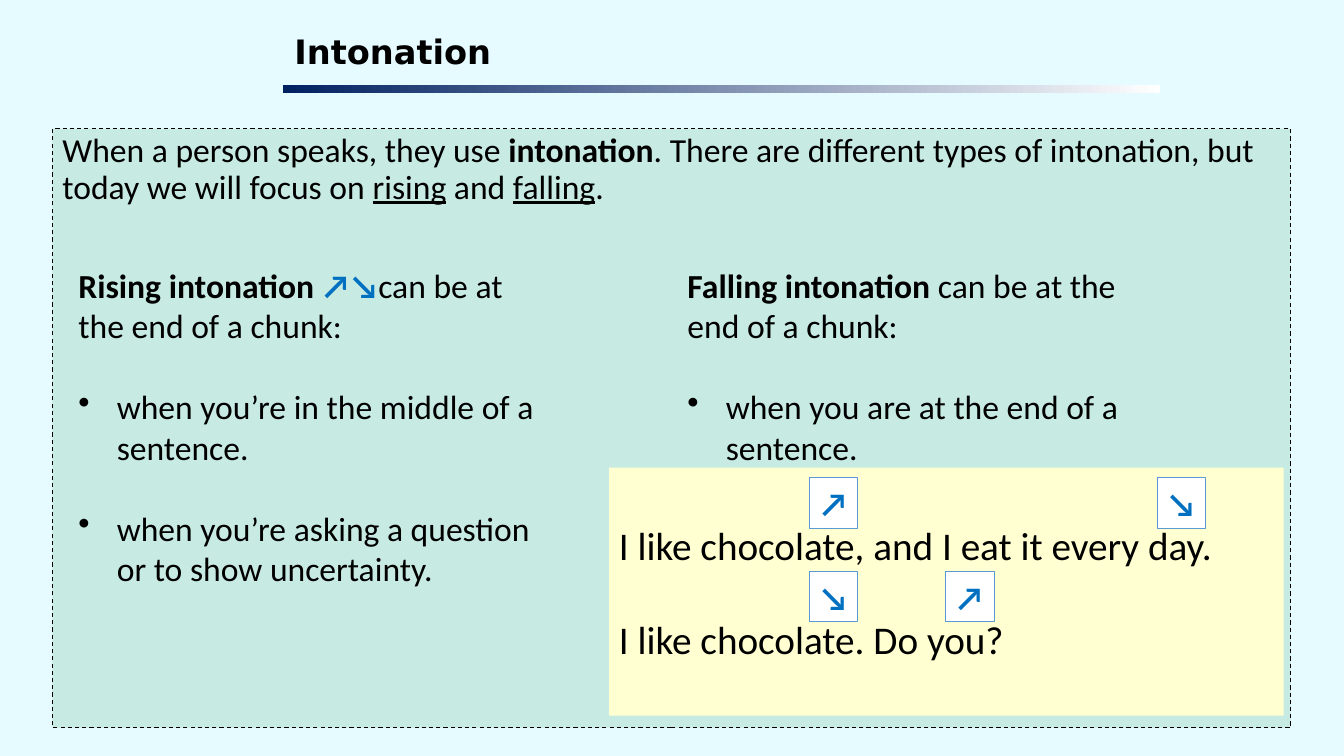
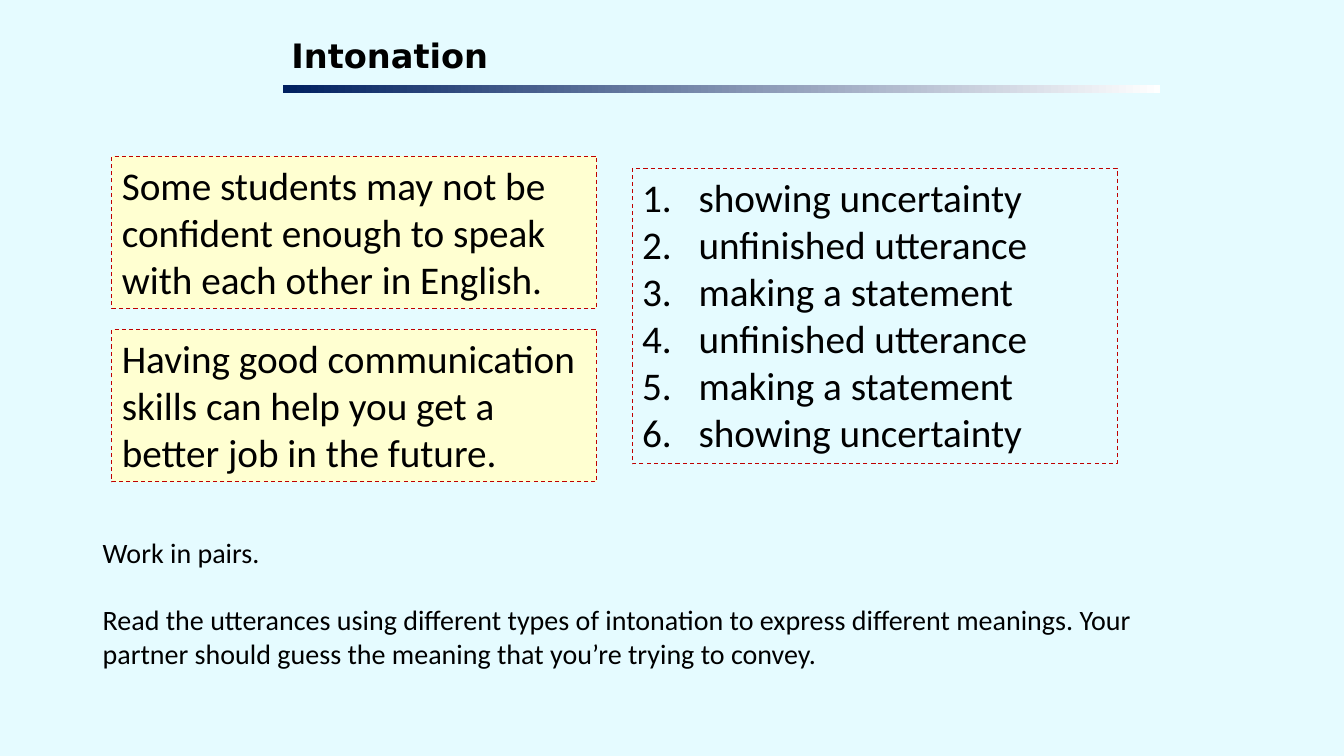
import pptx
import pptx.util
import pptx.dml.color
import pptx.enum.dml
import pptx.enum.shapes
import pptx.enum.text
import pptx.oxml
import pptx.oxml.ns

Inches = pptx.util.Inches
Pt = pptx.util.Pt
Anchor = pptx.enum.text.MSO_ANCHOR

COLORS = {
    "background": "E5FBFF", "mint": "C7EBE2", "cream": "FFFFD1",
    "white": "FFFFFF", "navy": "002060", "black": "000000",
    "red": "C00000", "arrow": "0070C0", "arrow_border": "5B9BD5",
}
BODY = {"name": "Calibri", "size": Pt(24), "color": "black"}
TITLE = {"name": "DejaVu Sans", "size": Pt(24), "bold": True, "color": "black"}
LARGE = BODY | {"size": Pt(28)}
SMALL = BODY | {"size": Pt(20)}
BOLD = {"bold": True}
UNDERLINE = {"underline": True}
ARROW = {"bold": True, "color": "arrow"}
LINE_GAP = {24: 29, 28: 34, 20: 24}  # one line of text, by font size, in points

DOT = '<a:buChar {} char="•"/>'
NUMBER = '<a:buAutoNum {} type="arabicPeriod"/>'


def rgb(name):
    return pptx.dml.color.RGBColor.from_string(COLORS[name])


def add_span(para, text, formats):
    span = para.add_run()
    span.text = text
    for key, value in formats.items():
        if key == "color":
            span.font.color.rgb = rgb(value)
        else:
            setattr(span.font, key, value)


def add_marker(para, marker, indent):
    """Give a paragraph a bullet or number with a hanging indent."""
    properties = para._p.get_or_add_pPr()
    properties.set("marL", str(Inches(indent)))
    properties.set("indent", str(-Inches(indent)))
    properties.append(pptx.oxml.parse_xml(marker.format(pptx.oxml.ns.nsdecls("a"))))


def write(box, paras, base=BODY, marker=None, indent=0.38, first_marked=0,
          gap=0, spacing=None, anchor=Anchor.TOP, wrap=True, margin=None):
    """Fill a box; each paragraph is a string or a list of (text, formats)."""
    frame = box.text_frame
    frame.word_wrap = wrap
    frame.vertical_anchor = anchor
    if margin is not None:
        for side in ("left", "right", "top", "bottom"):
            setattr(frame, "margin_" + side, Inches(margin))
    for index, content in enumerate(paras):
        para = frame.add_paragraph() if index else frame.paragraphs[0]
        para.alignment = pptx.enum.text.PP_ALIGN.LEFT
        if marker and index >= first_marked:
            add_marker(para, marker, indent)
        if index and gap:
            para.space_before = Pt(gap)
        if spacing:
            para.line_spacing = spacing
        spans = [(content, {})] if isinstance(content, str) else content
        for text, formats in spans:
            add_span(para, text, base | formats)


def add_text(page, place, paras, **options):
    write(page.shapes.add_textbox(*map(Inches, place)), paras, **options)


def add_rectangle(page, place):
    box = page.shapes.add_shape(
        pptx.enum.shapes.MSO_SHAPE.RECTANGLE, *map(Inches, place))
    box.shadow.inherit = False
    box.line.fill.background()
    return box


def add_panel(page, place, paras, fill, line=None, dashed=True, **options):
    box = add_rectangle(page, place)
    box.fill.solid()
    box.fill.fore_color.rgb = rgb(fill)
    if line:
        box.line.color.rgb = rgb(line)
        box.line.width = Pt(0.75)
        if dashed:
            box.line.dash_style = pptx.enum.dml.MSO_LINE.DASH
    write(box, paras, **options)


def add_arrow_tile(page, left, top, arrow):
    add_panel(page, (left, top, 0.48, 0.5), [[(arrow, ARROW)]], "white",
              "arrow_border", dashed=False, wrap=False)


def add_page(deck, title, left, top):
    """Add a page with background, title and the fading title bar."""
    page = deck.slides.add_slide(deck.slide_layouts[6])
    page.background.fill.solid()
    page.background.fill.fore_color.rgb = rgb("background")
    add_text(page, (left, top, 8.66, 0.53), [title], base=TITLE, margin=0.04)
    bar = add_rectangle(page, (2.81, 0.84, 8.7, 0.08))
    bar.fill.gradient()
    bar.fill.gradient_angle = 180
    for stop, color in zip(bar.fill.gradient_stops, ("white", "navy")):
        stop.color.rgb = rgb(color)
    return page


def build_explanation(deck):
    page = add_page(deck, "Intonation", 2.88, 0.27)
    introduction = [
        ("When a person speaks, they use ", {}),
        ("intonation", BOLD),
        (". There are different types of intonation, but today we will focus on ", {}),
        ("rising", UNDERLINE),
        (" and ", {}),
        ("falling", UNDERLINE),
        (".", {}),
    ]
    add_panel(page, (0.52, 1.28, 12.28, 5.94), [introduction], "mint", "black",
              spacing=0.9)

    rising = [
        [("Rising intonation ", BOLD), ("↗↘", ARROW),
         ("can be at the end of a chunk:", {})],
        "when you’re in the middle of a sentence.",
        "when you’re asking a question or to show uncertainty.",
    ]
    falling = [
        [("Falling intonation", BOLD), (" can be at the end of a chunk:", {})],
        "when you are at the end of a sentence.",
    ]
    for left, height, paras in ((0.68, 4.14, rising), (6.72, 3.74, falling)):
        add_text(page, (left, 2.58, 4.88, height), paras, marker=DOT,
                 first_marked=1, gap=LINE_GAP[24])

    examples = ["I like chocolate, and I eat it every day.",
                "I like chocolate. Do you?"]
    add_panel(page, (6.04, 4.64, 6.69, 2.46), examples, "cream", base=LARGE,
              gap=LINE_GAP[28], anchor=Anchor.MIDDLE)
    for left, top, arrow in ((8.03, 4.74, "↗"), (11.48, 4.74, "↘"),
                             (8.03, 5.67, "↘"), (9.38, 5.67, "↗")):
        add_arrow_tile(page, left, top, arrow)


def build_pair_work(deck):
    page = add_page(deck, "Intonation", 2.85, 0.31)
    utterances = [
        "Some students may not be confident enough to speak with each other in English.",
        "Having good communication skills can help you get a better job in the future.",
    ]
    for index, utterance in enumerate(utterances):
        add_panel(page, (1.11, 1.55 + 1.72 * index, 4.81, 1.51), [utterance],
                  "cream", "red", base=LARGE)

    meanings = ["showing uncertainty", "unfinished utterance", "making a statement",
                "unfinished utterance", "making a statement", "showing uncertainty"]
    add_panel(page, (6.27, 1.67, 4.81, 2.93), meanings, "background", "red",
              base=LARGE, marker=NUMBER, indent=0.56)

    instructions = [
        "Work in pairs.",
        "Read the utterances using different types of intonation to express different "
        "meanings. Your partner should guess the meaning that you’re trying to convey.",
    ]
    add_text(page, (0.92, 5.26, 11.11, 1.45), instructions, base=SMALL,
             gap=LINE_GAP[20])


def main():
    deck = pptx.Presentation()
    deck.slide_width = Inches(13.33)
    deck.slide_height = Inches(7.5)
    build_explanation(deck)
    build_pair_work(deck)
    deck.save("out.pptx")


if __name__ == "__main__":
    main()
